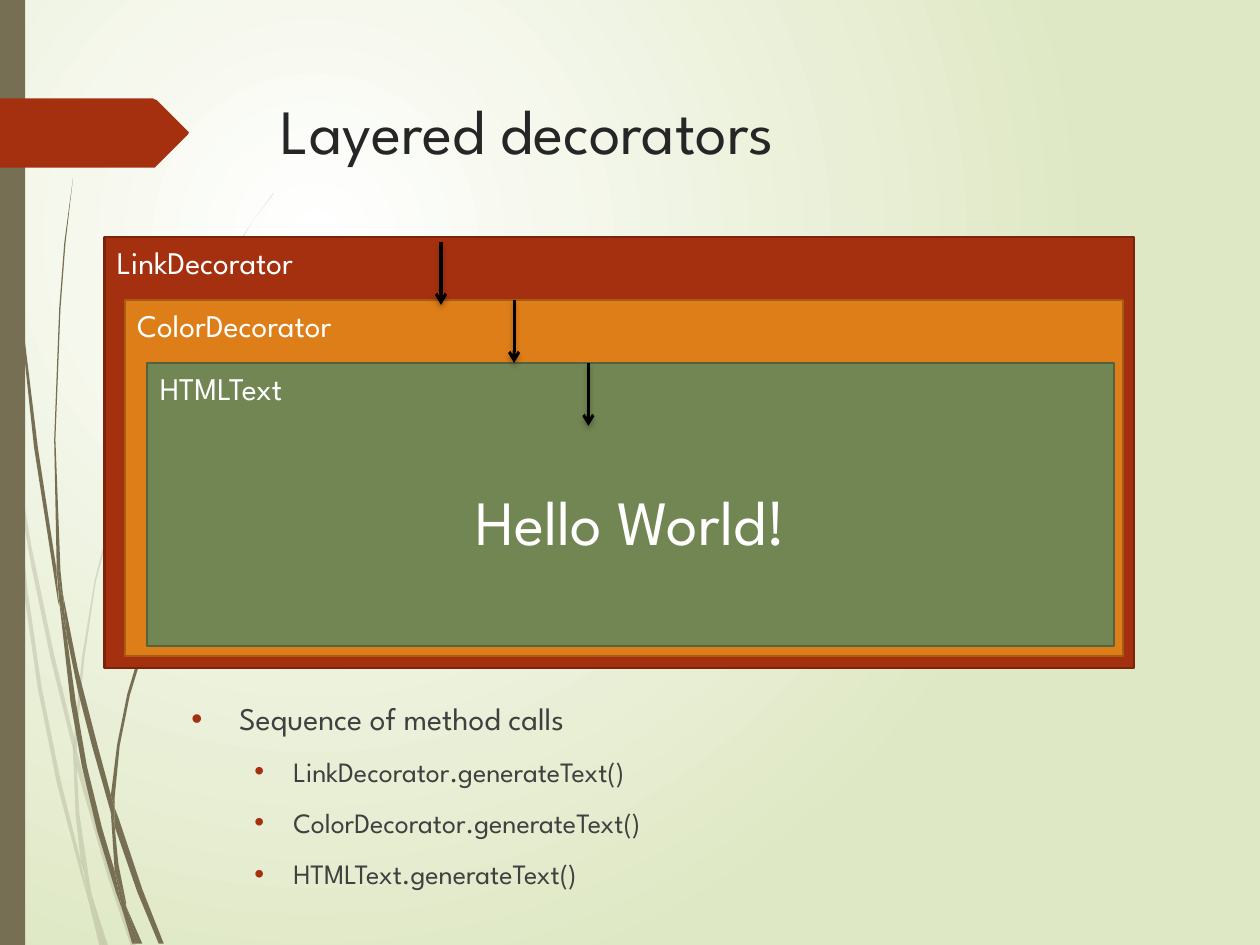
from lxml.etree import SubElement
from pptx import Presentation
from pptx.dml.color import RGBColor
from pptx.enum.shapes import MSO_CONNECTOR as Connector, MSO_SHAPE as Shape
from pptx.enum.text import MSO_ANCHOR as Anchor, PP_ALIGN as Align
from pptx.oxml.ns import qn
from pptx.util import Pt

PX = 9144
FONT = "League Spartan"
COLORS = {
    "white": "FFFFFF", "black": "000000", "mist": "DFE8C4", "stem": "766F54",
    "title": "262626", "body": "404040",
    "red": "A53010", "red_edge": "7A240C",
    "orange": "DE7E18", "orange_edge": "A45D12",
    "green": "728653", "green_edge": "54633D",
}

PALE_WISPS = [
    [(8, 350), (6, 322), (0, 282), (0, 299), (7, 344)],
    [(40, 522), (59, 599), (59, 586), (43, 520), (25, 434), (10, 345), (12, 376), (25, 450)],
    [(64, 607), (61, 596), (61, 610), (85, 694), (104, 751), (108, 751), (88, 692)],
    [(83, 751), (86, 751), (73, 711)],
    [(64, 683), (48, 619), (33, 545), (22, 469), (12, 376), (8, 350), (12, 410), (19, 470),
     (30, 546), (45, 621), (64, 693), (70, 714), (69, 707)],
    [(58, 599), (60, 646), (64, 683), (67, 692), (73, 711), (72, 706), (63, 646), (61, 610), (61, 608)],
    [(61, 584), (67, 522), (76, 462), (91, 404), (111, 349), (134, 295), (159, 245), (187, 198),
     (201, 175), (217, 154), (217, 153), (201, 175), (186, 197), (158, 244), (133, 294), (110, 348),
     (90, 403), (75, 461), (65, 522), (59, 584), (59, 586), (61, 596)],
    [(70, 714), (79, 751), (82, 751)],
    [(61, 608), (61, 610), (61, 596), (59, 586), (58, 599)],
    [(67, 692), (65, 683), (69, 707), (70, 714), (82, 751), (83, 751), (73, 711)],
]
DARK_WISPS = [
    [(5, 110), (14, 233), (27, 355), (46, 477), (47, 481), (45, 457), (45, 453), (30, 355),
     (15, 232), (6, 109), (4, 48), (3, 0), (2, 0), (3, 48)],
    [(73, 592), (88, 645), (88, 633), (88, 631), (77, 590), (62, 532), (50, 472), (53, 505), (62, 549)],
    [(94, 649), (91, 641), (91, 656), (109, 708), (126, 749), (130, 749), (113, 706)],
    [(91, 691), (81, 657), (69, 608), (60, 556), (53, 505), (47, 477), (56, 557), (65, 608),
     (77, 659), (92, 708), (97, 722), (96, 717)],
    [(50, 472), (48, 453), (44, 349), (48, 245), (52, 193), (58, 141), (51, 193), (47, 245),
     (43, 349), (45, 449), (49, 472)],
    [(110, 749), (113, 749), (100, 719)],
    [(47, 477), (53, 505), (50, 472), (49, 472), (45, 449), (45, 453)],
    [(91, 633), (95, 592), (103, 552), (115, 513), (131, 476), (149, 440), (169, 406), (191, 374),
     (203, 359), (216, 344), (215, 344), (203, 358), (191, 373), (168, 405), (147, 439), (129, 474),
     (113, 511), (101, 551), (93, 591), (88, 631), (91, 641)],
    [(97, 722), (105, 749), (108, 749)],
    [(88, 645), (91, 691), (96, 706), (100, 719), (100, 716), (94, 686), (91, 656), (90, 651)],
    [(88, 645), (90, 651), (91, 656), (91, 641), (88, 631), (88, 633)],
    [(96, 706), (91, 691), (96, 717), (97, 722), (108, 749), (110, 749), (100, 719)],
]
FLAG = [(149, 107), (124, 132), (123, 133), (121, 133), (0, 133), (0, 78), (121, 78),
        (123, 79), (124, 79), (149, 104), (150, 105)]

LAYERS = [
    ("LinkDecorator", "red", (83, 188, 817, 342)),
    ("ColorDecorator", "orange", (99, 238, 792, 283)),
    ("HTMLText", "green", (117, 288, 767, 225)),
]
ARROW_TOPS = [(408, 238), (467, 288), (350, 192)]
ARROW_LENGTH = 50


def color(name):
    return RGBColor.from_string(COLORS[name])


def place(shape, left, top, width, height):
    shape.left, shape.top = left * PX, top * PX
    shape.width, shape.height = width * PX, height * PX


def style(para, size, name):
    for span in para.runs:
        span.font.name = FONT
        span.font.size = Pt(size)
        span.font.color.rgb = color(name)


def paint_background(page):
    fill = page.background.fill
    fill.gradient()
    for stop, name in zip(fill.gradient_stops, ("white", "mist")):
        stop.color.rgb = color(name)
    gradient = page.element.find(".//" + qn("a:gradFill"))
    gradient.remove(gradient.find(qn("a:lin")))
    circle = SubElement(gradient, qn("a:path"), path="circle")
    SubElement(circle, qn("a:fillToRect"), l="50000", t="50000", r="100000", b="100000")


def add_outline(page, points, name, opacity=100):
    builder = page.shapes.build_freeform(*points[0], scale=PX)
    builder.add_line_segments(points[1:], close=True)
    outline = builder.convert_to_shape()
    outline.shadow.inherit = False
    outline.fill.solid()
    outline.fill.fore_color.rgb = color(name)
    outline.line.fill.background()
    if opacity < 100:
        tone = outline.element.spPr.find(".//" + qn("a:srgbClr"))
        SubElement(tone, qn("a:alpha"), val=str(opacity * 1000))


def add_box(page, bounds, fill, edge=None):
    box = page.shapes.add_shape(Shape.RECTANGLE, *(value * PX for value in bounds))
    box.shadow.inherit = False
    box.fill.solid()
    box.fill.fore_color.rgb = color(fill)
    if edge:
        box.line.color.rgb = color(edge)
        box.line.width = Pt(1.25)
    else:
        box.line.fill.background()
    return box


def add_layer(page, label, name, bounds):
    box = add_box(page, bounds, name, name + "_edge")
    frame = box.text_frame
    frame.vertical_anchor = Anchor.TOP
    frame.text = label
    frame.paragraphs[0].alignment = Align.LEFT
    style(frame.paragraphs[0], 18, "white")
    return frame


def add_greeting(frame):
    para = frame.add_paragraph()
    para.text = "Hello World!"
    para.alignment = Align.CENTER
    para.space_before = Pt(43)
    style(para, 36, "white")


def add_arrow(page, left, top):
    arrow = page.shapes.add_connector(
        Connector.STRAIGHT, left * PX, top * PX, left * PX, (top + ARROW_LENGTH) * PX)
    arrow.line.color.rgb = color("black")
    arrow.line.width = Pt(1.75)
    props = arrow.element.spPr
    SubElement(props.find(qn("a:ln")), qn("a:tailEnd"), type="arrow")
    effects = SubElement(props, qn("a:effectLst"))
    shadow = SubElement(effects, qn("a:outerShdw"), blurRad="38100", dist="25400", dir="5400000")
    tone = SubElement(shadow, qn("a:srgbClr"), val=COLORS["black"])
    SubElement(tone, qn("a:alpha"), val="25000")


def set_title(page, text):
    title = page.shapes.title
    place(title, 213, 68, 721, 140)
    title.text_frame.text = text
    title.text_frame.vertical_anchor = Anchor.TOP
    title.text_frame.paragraphs[0].alignment = Align.LEFT
    style(title.text_frame.paragraphs[0], 36, "title")
    title.element.getparent().append(title.element)


def add_bullet(para, text, level):
    para.text = text
    para.level = level
    para.space_before = Pt(10)
    style(para, 16 if level else 18, "body")
    margin, hang = (81, 31) if level else (38, 38)
    props = para._p.get_or_add_pPr()
    props.set("marL", str(margin * PX))
    props.set("indent", str(-hang * PX))
    tint = SubElement(props, qn("a:buClr"))
    SubElement(tint, qn("a:srgbClr"), val=COLORS["red"])
    SubElement(props, qn("a:buFont"), typeface="Arial")
    SubElement(props, qn("a:buChar"), char="•")


def add_calls(page):
    box = page.shapes.add_textbox(142 * PX, 550 * PX, 821 * PX, 158 * PX)
    frame = box.text_frame
    frame.word_wrap = True
    add_bullet(frame.paragraphs[0], "Sequence of method calls", 0)
    for label, _, _ in LAYERS:
        add_bullet(frame.add_paragraph(), label + ".generateText()", 1)


def main():
    deck = Presentation()
    deck.slide_width, deck.slide_height = 1000 * PX, 750 * PX
    page = deck.slides.add_slide(deck.slide_layouts[5])
    paint_background(page)
    for points in PALE_WISPS:
        add_outline(page, points, "stem", 20)
    for points in DARK_WISPS:
        add_outline(page, points, "stem")
    add_box(page, (0, 0, 20, 750), "stem")
    add_outline(page, FLAG, "red")
    set_title(page, "Layered decorators")
    add_calls(page)
    frames = [add_layer(page, *layer) for layer in LAYERS]
    add_greeting(frames[-1])
    for left, top in ARROW_TOPS:
        add_arrow(page, left, top)
    deck.save("out.pptx")


if __name__ == "__main__":
    main()
